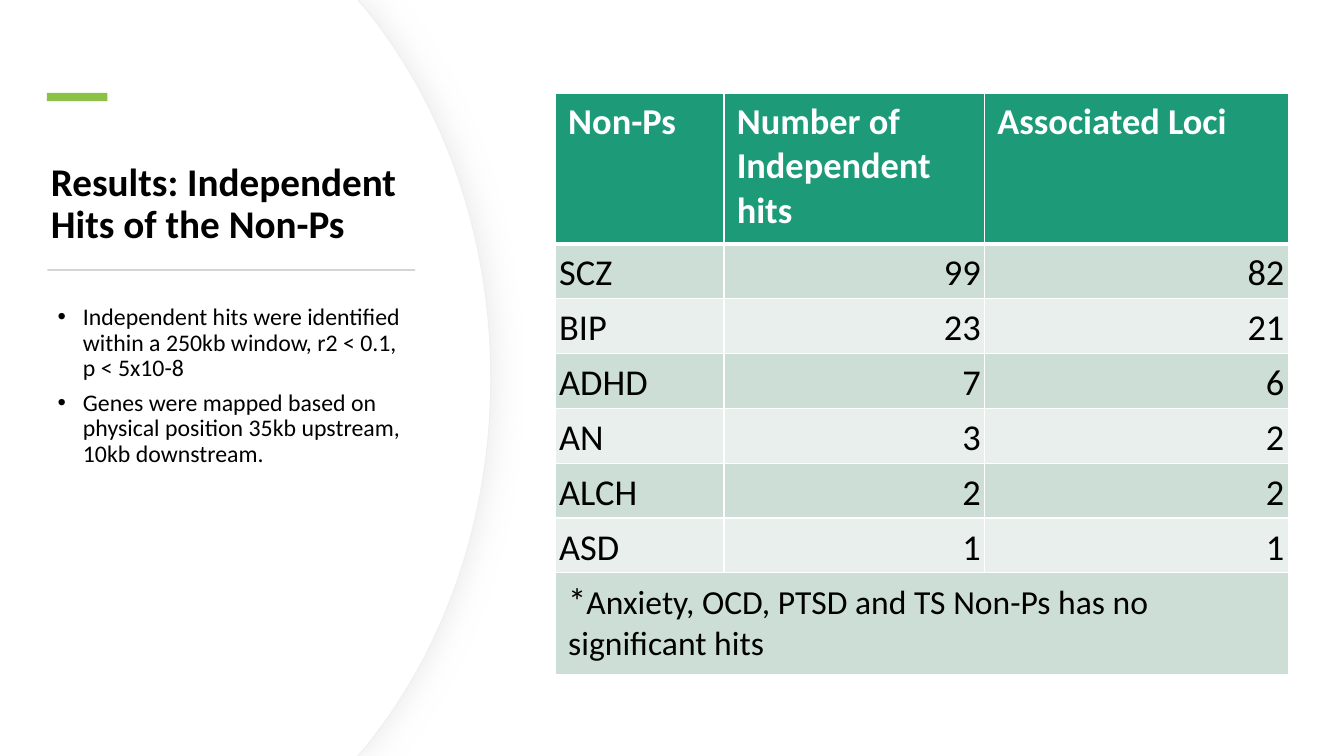
"""Builds the slide on independent hits of the Non-Ps."""
import pptx
import pptx.dml.color
import pptx.enum.shapes
import pptx.enum.text
import pptx.oxml
import pptx.oxml.ns
import pptx.util

Pt = pptx.util.Pt
qn = pptx.oxml.ns.qn
ALIGN = pptx.enum.text.PP_ALIGN
ANCHOR = pptx.enum.text.MSO_ANCHOR
NS = pptx.oxml.ns.nsdecls("a")


def rgb(code):
    return pptx.dml.color.RGBColor.from_string(code)


class Deck:
    font, dark, light = "Calibri", "000000", "FFFFFF"
    header, bands = "1D9A78", ("CDDED6", "E8EFEC")

    def __init__(self, prs):
        self.s = prs.slides.add_slide(prs.slide_layouts[1])

    def run(self, p, text, size, color=dark, bold=False):
        r = p.add_run()
        r.text = text
        r.font.name, r.font.size, r.font.bold = self.font, Pt(size), bold
        r.font.color.rgb = rgb(color)

    def rect(self, x, y, w, h, color, rotation=0):
        sp = self.s.shapes.add_shape(pptx.enum.shapes.MSO_SHAPE.RECTANGLE,
                                     Pt(x), Pt(y), Pt(w), Pt(h))
        sp.rotation = rotation
        sp.shadow.inherit = False
        sp.fill.solid()
        sp.fill.fore_color.rgb = rgb(color)
        sp.line.fill.background()

    def curve(self, segment, points):
        pts = "".join(f'<a:pt x="{Pt(x)}" y="{Pt(y)}"/>' for x, y in points)
        segment.getparent().replace(segment, pptx.oxml.parse_xml(
            f'<a:cubicBezTo {NS}>{pts}</a:cubicBezTo>'))

    def panel(self, right, line=None, shadow=None):
        corner, bend, side = right - 95, right - 90, right - 34.6
        points = [(corner, 0), (bend, 5.8), (right, 270), (bend, 534.2), (corner, 540), (0, 540)]
        fb = self.s.shapes.build_freeform(0, 0)
        fb.add_line_segments([(Pt(x), Pt(y)) for x, y in points], close=True)
        sp = fb.convert_to_shape()
        segments = list(sp._element.iter(qn("a:lnTo")))
        self.curve(segments[2], [(side, 73.4), (right, 167), (right, 270)])
        self.curve(segments[3], [(right, 373), (side, 466.6), (bend, 534.2)])
        sp.shadow.inherit = False
        sp.fill.solid()
        sp.fill.fore_color.rgb = rgb(self.light)
        if line:
            sp.line.color.rgb = rgb(line)
            sp.line.width = Pt(0.75)
        else:
            sp.line.fill.background()
        if shadow:
            sp._element.spPr.find(qn("a:effectLst")).append(pptx.oxml.parse_xml(
                f'<a:outerShdw {NS} blurRad="{Pt(20)}" dist="{Pt(3)}" dir="0" algn="l" rotWithShape="0">'
                f'<a:srgbClr val="{shadow}"><a:alpha val="50000"/></a:srgbClr></a:outerShdw>'))

    def placeholder(self, idx, x, y, w, h, anchor):
        sp = self.s.placeholders[idx]
        sp.left, sp.top, sp.width, sp.height = Pt(x), Pt(y), Pt(w), Pt(h)
        self.s.shapes._spTree.append(sp._element)
        tf = sp.text_frame
        tf.word_wrap = True
        tf.auto_size = pptx.enum.text.MSO_AUTO_SIZE.NONE
        tf.vertical_anchor = anchor
        return tf

    def spacing(self, p):
        p.alignment = ALIGN.LEFT
        p.line_spacing = 0.9
        p.space_before, p.space_after = Pt(0), Pt(6)

    def title(self, text, *box):
        p = self.placeholder(0, *box, ANCHOR.BOTTOM).paragraphs[0]
        self.spacing(p)
        self.run(p, text, 28, bold=True)

    def bullets(self, items, *box):
        tf = self.placeholder(1, *box, ANCHOR.TOP)
        for i, text in enumerate(items):
            p = tf.add_paragraph() if i else tf.paragraphs[0]
            pPr = p._p.get_or_add_pPr()
            pPr.set("marL", str(Pt(22.5)))
            pPr.set("indent", str(Pt(-18)))
            pPr.append(pptx.oxml.parse_xml(f'<a:buFont {NS} typeface="Arial"/>'))
            pPr.append(pptx.oxml.parse_xml(f'<a:buChar {NS} char="•"/>'))
            self.spacing(p)
            self.run(p, text, 17)

    def cell(self, cell, runs, fill, color=dark, bold=False, align=ALIGN.LEFT,
             anchor=ANCHOR.TOP, inset=(9.2, 4.6), top=1, bottom=1):
        tcPr = cell._tc.get_or_add_tcPr()
        for side, width in zip("LRTB", (1, 1, top, bottom)):
            tcPr.append(pptx.oxml.parse_xml(
                f'<a:ln{side} {NS} w="{Pt(width)}"><a:solidFill>'
                f'<a:srgbClr val="{self.light}"/></a:solidFill></a:ln{side}>'))
        cell.fill.solid()
        cell.fill.fore_color.rgb = rgb(fill)
        cell.margin_left = cell.margin_right = Pt(inset[0])
        cell.margin_top = cell.margin_bottom = Pt(inset[1])
        cell.vertical_anchor = anchor
        p = cell.text_frame.paragraphs[0]
        p.alignment = align
        for text, size in runs:
            self.run(p, text, size, color, bold)

    def table(self, x, y, widths, heights, heads, rows, note):
        shape = self.s.shapes.add_table(len(heights), len(widths), Pt(x), Pt(y),
                                        Pt(sum(widths)), Pt(sum(heights)))
        tbl = shape.table
        tbl.first_row = tbl.horz_banding = False
        for col, width in zip(tbl.columns, widths):
            col.width = Pt(width)
        for row, height in zip(tbl.rows, heights):
            row.height = Pt(height)
        for j, head in enumerate(heads):
            self.cell(tbl.cell(0, j), [(head, 26)], self.header, self.light, True, bottom=3)
        for i, row in enumerate(rows, 1):
            for j, value in enumerate(row):
                self.cell(tbl.cell(i, j), [(str(value), 26)], self.bands[(i - 1) % 2],
                          align=ALIGN.RIGHT if j else ALIGN.LEFT, anchor=ANCHOR.BOTTOM,
                          inset=(2.7, 2.2), top=3 if i == 1 else 1)
        last = len(heights) - 1
        tbl.cell(last, 0).merge(tbl.cell(last, len(widths) - 1))
        self.cell(tbl.cell(last, 0), note, self.bands[0])


def main():
    prs = pptx.Presentation()
    prs.slide_width, prs.slide_height = Pt(960), Pt(540)
    deck = Deck(prs)
    deck.rect(0, 0, 960, 540, "FFFFFF")
    deck.panel(350.6, line="EFEFEF", shadow="D9D9D9")
    deck.panel(349.9)
    deck.title("Results: Independent Hits of the Non-Ps", 29.2, 91.4, 270.7, 88.6)
    deck.rect(52.2, 47.7, 5.8, 43.2, "8BC145", rotation=90)
    deck.rect(33.8, 192.2, 262.8, 1.4, "D5D5D5")
    deck.bullets(["Independent hits were identified within a 250kb window, r2 < 0.1, p < 5x10-8",
                  "Genes were mapped based on physical position 35kb upstream, 10kb downstream."],
                 29.5, 214.2, 270.7, 252.7)
    hits = [("SCZ", 99, 82), ("BIP", 23, 21), ("ADHD", 7, 6),
            ("AN", 3, 2), ("ALCH", 2, 2), ("ASD", 1, 1)]
    deck.table(396.7, 66.6, [120.4, 186.2, 216.9], [107.6] + [39.2] * len(hits) + [72.7],
               ["Non-Ps", "Number of Independent hits", "Associated Loci"], hits,
               [("*", 26), ("Anxiety, OCD, PTSD and TS Non-Ps has no significant hits", 24)])
    prs.save("out.pptx")


if __name__ == "__main__":
    main()
